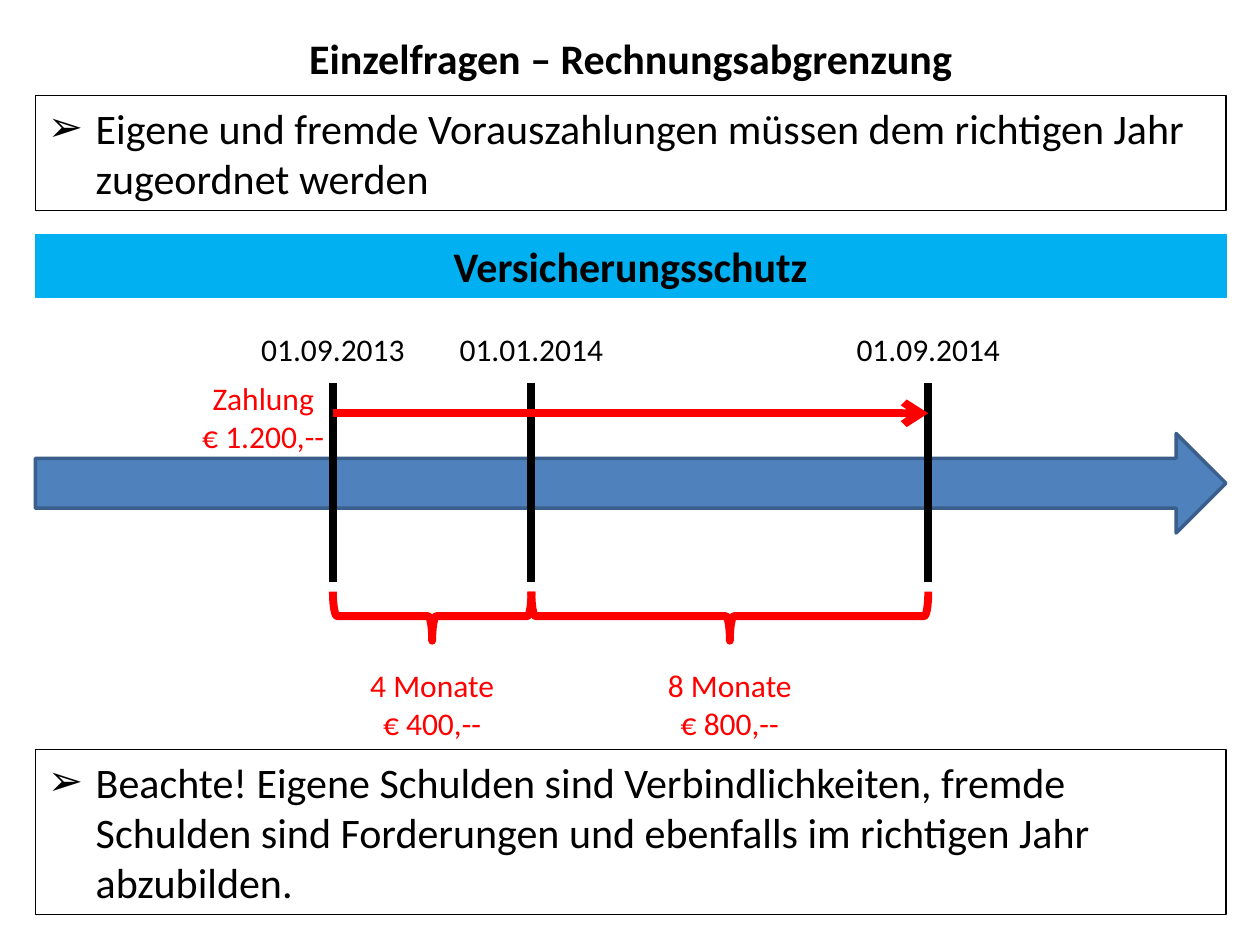
from lxml.etree import SubElement
from pptx import Presentation
from pptx.dml.color import RGBColor
from pptx.enum.shapes import MSO_CONNECTOR as Connector, MSO_SHAPE as Shape
from pptx.enum.text import MSO_ANCHOR as Anchor, MSO_AUTO_SIZE as AutoSize, PP_ALIGN as Align
from pptx.oxml.ns import qn
from pptx.util import Inches, Pt

COLORS = {"black": "000000", "red": "FF0000", "band": "00B0F0",
          "arrow": "4F81BD", "arrow_edge": "3A5F8C"}
TITLE = "Einzelfragen – Rechnungsabgrenzung"
RULES = [
    ("Eigene und fremde Vorauszahlungen müssen dem richtigen Jahr zugeordnet werden", 0.76, 0.91),
    ("Beachte! Eigene Schulden sind Verbindlichkeiten, fremde Schulden sind Forderungen "
     "und ebenfalls im richtigen Jahr abzubilden.", 5.95, 1.31),
]
BAND = "Versicherungsschutz"
DATES = [("01.09.2013", 6), ("01.01.2014", 10), ("01.09.2014", 18)]
PERIODS = [(["4 Monate", "€ 400,--"], 6, 10), (["8 Monate", "€ 800,--"], 10, 18)]
PAYMENT = ["Zahlung", "€ 1.200,--"]

LEFT, WIDTH, MONTHS = 0.28, 9.45, 24
MONTH = WIDTH / MONTHS
TICK_TOP, TICK_BOTTOM = 3.04, 4.62
PAYMENT_Y, BRACE_Y, BRACE_DEPTH = 3.28, 4.89, 0.39
AMOUNT_WIDTH, AMOUNT_HEIGHT = 1.26, 0.71

presentation = Presentation()
presentation.slide_width, presentation.slide_height = Inches(10), Inches(7.5)
slide = presentation.slides.add_slide(presentation.slide_layouts[3])
shapes = slide.shapes


def month_x(month):
    return LEFT + month * MONTH


def color(name):
    return RGBColor.from_string(COLORS[name])


def set_line(shape, name, width):
    shape.line.color.rgb = color(name)
    shape.line.width = Pt(width)


def place(shape, *box):
    for name, value in zip(("left", "top", "width", "height"), box):
        setattr(shape, name, Inches(value))


def write(shape, lines, size, color_name="black", bold=False, bullet=None):
    frame = shape.text_frame
    settings = {"word_wrap": True, "auto_size": AutoSize.NONE, "vertical_anchor": Anchor.TOP}
    for name, value in settings.items():
        setattr(frame, name, value)
    frame.text = "\n".join(lines)
    for paragraph in frame.paragraphs:
        paragraph.alignment = Align.LEFT if bullet else Align.CENTER
        paragraph.space_before = Pt(0)
        if bullet:
            properties = paragraph._p.get_or_add_pPr()
            properties.set("marL", str(Inches(0.38)))
            properties.set("indent", str(-Inches(0.38)))
            SubElement(properties, qn("a:buChar")).set("char", bullet)
        for name, value in {"name": "Calibri", "size": Pt(size), "bold": bold}.items():
            setattr(paragraph.font, name, value)
        paragraph.font.color.rgb = color(color_name)


def add_shape(kind, box, line, width, fill=None):
    shape = shapes.add_shape(kind, *map(Inches, box))
    shape.shadow.inherit = False
    set_line(shape, line, width)
    if fill:
        shape.fill.solid()
        shape.fill.fore_color.rgb = color(fill)
    else:
        shape.fill.background()
    return shape


def add_line(start_x, start_y, end_x, end_y, name):
    line = shapes.add_connector(Connector.STRAIGHT, *map(Inches, (start_x, start_y, end_x, end_y)))
    set_line(line, name, 4.5)
    SubElement(line._element.spPr, qn("a:effectLst"))
    return line


def add_label(lines, center, top, width, height, name="black"):
    box = shapes.add_textbox(*map(Inches, (center - width / 2, top, width, height)))
    write(box, lines, 18, name)


title, *bodies = slide.placeholders
place(title, LEFT, 0.21, WIDTH, 0.5)
write(title, [TITLE], 24, bold=True)
for body, (text, top, height) in zip(bodies, RULES):
    place(body, LEFT, top, WIDTH, height)
    set_line(body, "black", 0.75)
    write(body, [text], 24, bullet="➢")

band = add_shape(Shape.RECTANGLE, (LEFT, 1.86, WIDTH, 0.5), "band", 0.75, "band")
write(band, [BAND], 24, bold=True)
add_shape(Shape.RIGHT_ARROW, (LEFT, 3.44, WIDTH, 0.79), "arrow_edge", 2, "arrow")

for date, month in DATES:
    x = month_x(month)
    add_line(x, TICK_TOP, x, TICK_BOTTOM, "black")
    add_label([date], x, 2.57, 4 * MONTH, 0.4)

first, last = month_x(DATES[0][1]), month_x(DATES[-1][1])
payment = add_line(first, PAYMENT_Y, last, PAYMENT_Y, "red")
SubElement(payment.line._get_or_add_ln(), qn("a:tailEnd")).set("type", "arrow")
add_label(PAYMENT, 2.09, 2.96, AMOUNT_WIDTH, AMOUNT_HEIGHT, "red")

for lines, start, end in PERIODS:
    center, span = month_x((start + end) / 2), (end - start) * MONTH
    brace = add_shape(Shape.RIGHT_BRACE, (center - BRACE_DEPTH / 2, BRACE_Y - span / 2,
                                          BRACE_DEPTH, span), "red", 4.5)
    brace.rotation = 90
    add_label(lines, center, 5.24, AMOUNT_WIDTH, AMOUNT_HEIGHT, "red")

presentation.save("out.pptx")
